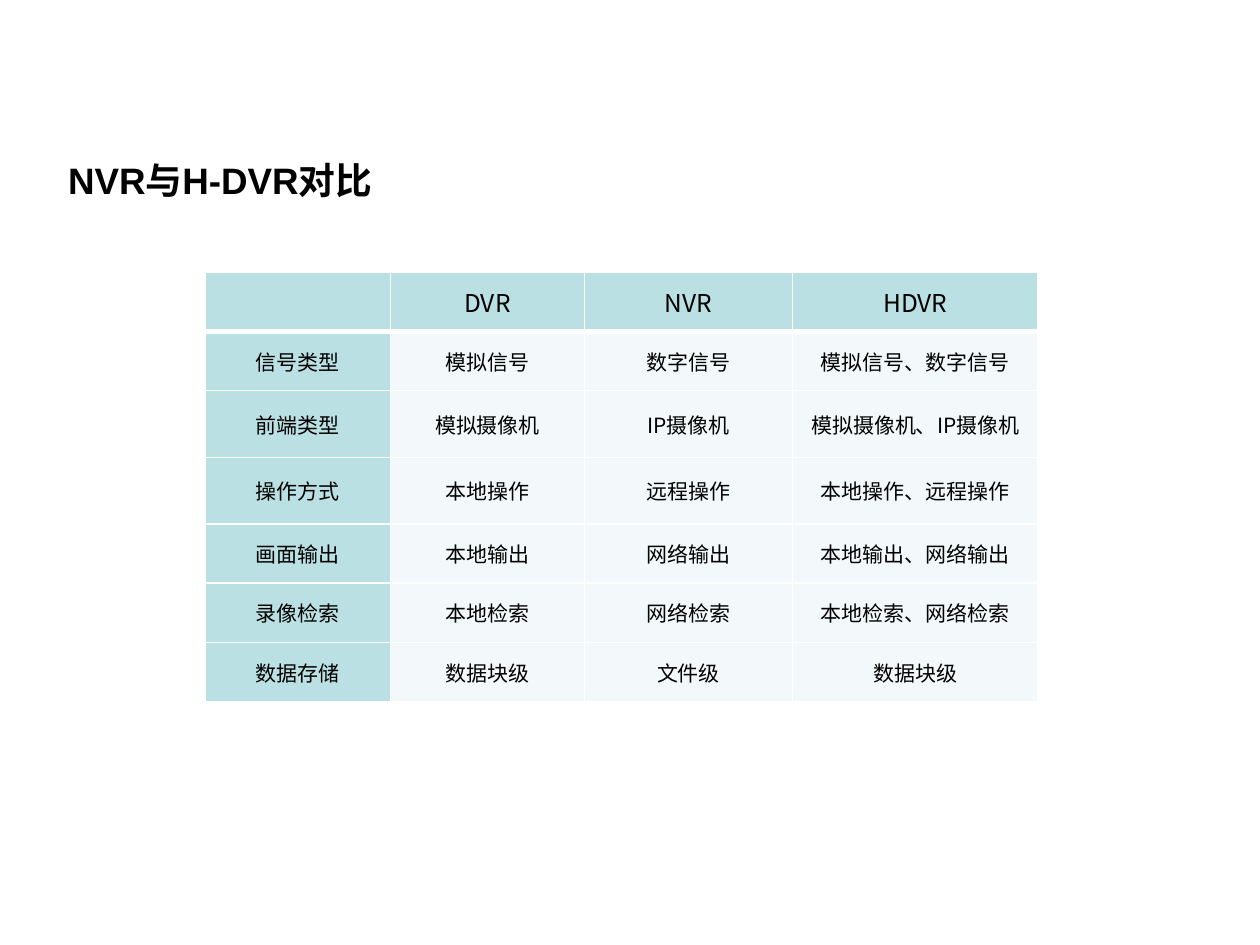
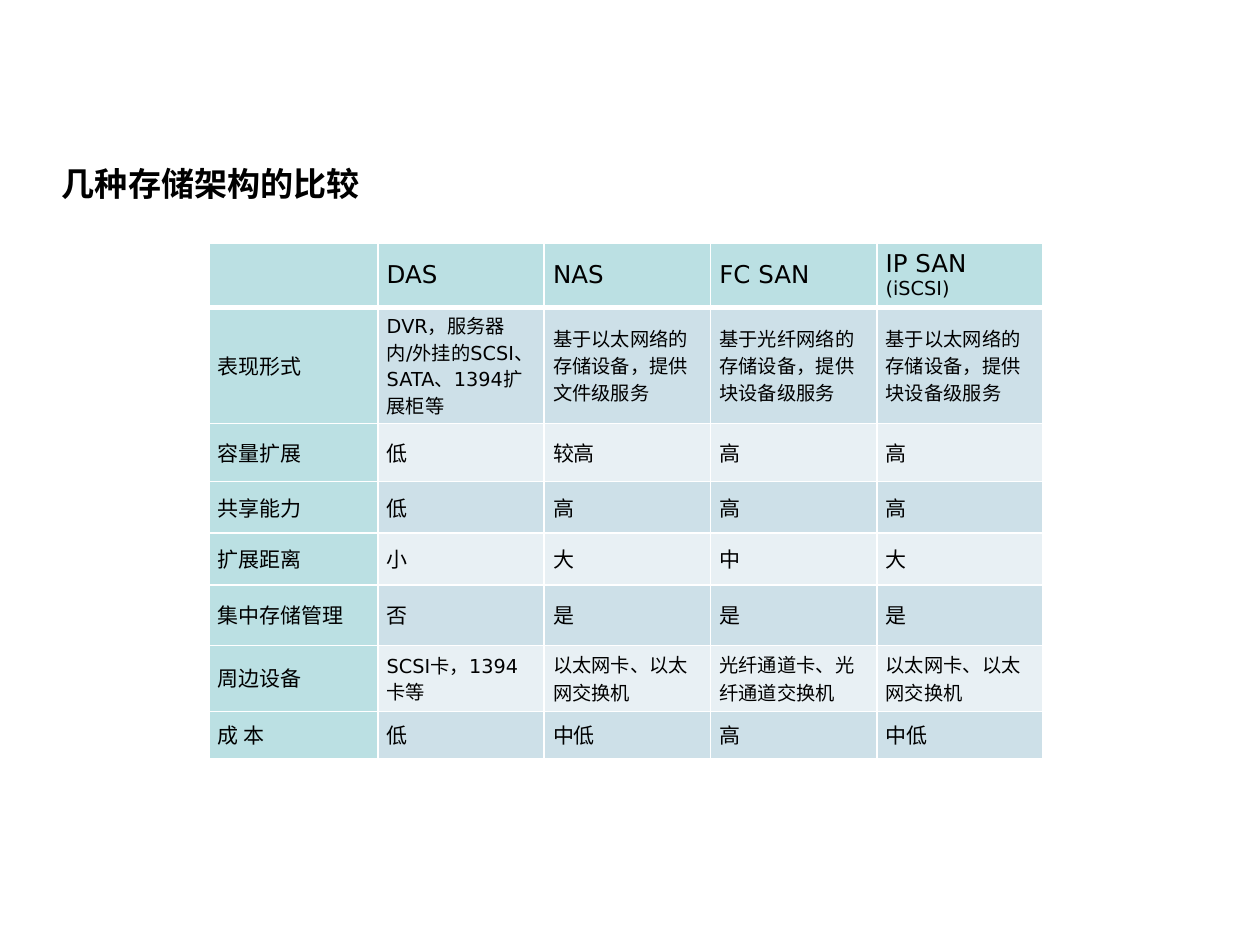
import pptx
import pptx.util
import pptx.dml.color
import pptx.enum.text
import pptx.oxml.ns
import lxml.etree

Inches = pptx.util.Inches
Pt = pptx.util.Pt
ALIGN = pptx.enum.text.PP_ALIGN
MIDDLE = pptx.enum.text.MSO_ANCHOR.MIDDLE

BLACK = pptx.dml.color.RGBColor(0x00, 0x00, 0x00)
WHITE = pptx.dml.color.RGBColor(0xFF, 0xFF, 0xFF)
TEAL = pptx.dml.color.RGBColor(0xBB, 0xE0, 0xE3)
PALE = pptx.dml.color.RGBColor(0xF3, 0xF9, 0xFA)
BAND_DARK = pptx.dml.color.RGBColor(0xCD, 0xE0, 0xE8)
BAND_LIGHT = pptx.dml.color.RGBColor(0xE8, 0xF0, 0xF4)

CHINESE_FONT = "Noto Sans CJK SC"
HEADER_SIZE = 14
BODY_SIZE = 12
DETAIL_SIZE = 11
HEADER_RULE = 3
THIN_RULE = 1


def add_xml(parent, tag, **attributes):
    return lxml.etree.SubElement(parent, pptx.oxml.ns.qn(tag), attributes)


def write_text(para, text, font="Arial", size=BODY_SIZE, bold=False,
               align=ALIGN.LEFT, line_spacing=None, hanging=0):
    para.alignment = align
    para.line_spacing = line_spacing
    if hanging:
        properties = para._p.get_or_add_pPr()
        properties.set("marL", str(Inches(hanging)))
        properties.set("indent", str(Inches(-hanging)))
    span = para.add_run()
    span.text = text
    span.font.size = Pt(size)
    span.font.bold = bold
    span.font.color.rgb = BLACK
    span.font.name = font
    add_xml(span.font._element, "a:ea", typeface=CHINESE_FONT)


class Composer:
    def __init__(self, deck):
        self.deck = deck
        self.page = None

    def start_page(self):
        self.page = self.deck.slides.add_slide(self.deck.slide_layouts[5])

    def title(self, text, left, top, size):
        box = self.page.shapes.title
        box.left, box.top = Inches(left), Inches(top)
        box.width, box.height = Inches(7.48), Inches(0.41)
        frame = box.text_frame
        frame.auto_size = pptx.enum.text.MSO_AUTO_SIZE.NONE
        frame.vertical_anchor = MIDDLE
        write_text(frame.paragraphs[0], text, size=size, bold=True)

    def borders(self, cell, top, bottom):
        properties = cell._tc.get_or_add_tcPr()
        widths = {"a:lnL": THIN_RULE, "a:lnR": THIN_RULE, "a:lnT": top, "a:lnB": bottom}
        for side, width in widths.items():
            line = add_xml(properties, side, w=str(Pt(width)))
            add_xml(add_xml(line, "a:solidFill"), "a:srgbClr", val=str(WHITE))

    def table(self, rows, left, top, widths, heights, bands, first_rule=THIN_RULE,
              detail_rows=(), loose_cells=(), **text_format):
        grid = self.page.shapes.add_table(
            len(rows), len(widths), Inches(left), Inches(top),
            Inches(sum(widths)), Inches(sum(heights))).table
        grid.horz_banding = False
        grid.first_row = False
        for column, width in zip(grid.columns, widths):
            column.width = Inches(width)
        for row, height in zip(grid.rows, heights):
            row.height = Inches(height)

        for r, texts in enumerate(rows):
            for c, text in enumerate(texts):
                cell = grid.cell(r, c)
                cell.vertical_anchor = MIDDLE
                cell.margin_left = cell.margin_right = Inches(0.07)
                cell.margin_top = cell.margin_bottom = Inches(0.04)
                self.borders(cell, first_rule if r == 1 else THIN_RULE,
                             HEADER_RULE if r == 0 else THIN_RULE)
                cell.fill.solid()
                is_heading = r == 0 or c == 0
                cell.fill.fore_color.rgb = TEAL if is_heading else bands[(r - 1) % len(bands)]
                size = HEADER_SIZE if r == 0 else BODY_SIZE
                if r in detail_rows and c > 0:
                    size = DETAIL_SIZE
                cell_format = dict(text_format)
                if (r, c) in loose_cells:
                    cell_format["line_spacing"] = None
                spans = text if isinstance(text, tuple) else ((text, size),)
                for words, span_size in spans:
                    if words:
                        write_text(cell.text_frame.paragraphs[0], words,
                                   size=span_size, **cell_format)


RECORDERS = [
    ["", "DVR", "NVR", "HDVR"],
    ["信号类型", "模拟信号", "数字信号", "模拟信号、数字信号"],
    ["前端类型", "模拟摄像机", "IP摄像机", "模拟摄像机、IP摄像机"],
    ["操作方式", "本地操作", "远程操作", "本地操作、远程操作"],
    ["画面输出", "本地输出", "网络输出", "本地输出、网络输出"],
    ["录像检索", "本地检索", "网络检索", "本地检索、网络检索"],
    ["数据存储", "数据块级", "文件级", "数据块级"],
]

STORAGE = [
    ["", "DAS", "NAS", "FC SAN", (("IP SAN ", HEADER_SIZE), ("(iSCSI)", DETAIL_SIZE))],
    ["表现形式", "DVR，服务器内/外挂的SCSI、SATA、1394扩展柜等",
     "基于以太网络的存储设备，提供文件级服务",
     "基于光纤网络的存储设备，提供块设备级服务",
     "基于以太网络的存储设备，提供块设备级服务"],
    ["容量扩展", "低", "较高", "高", "高"],
    ["共享能力", "低", "高", "高", "高"],
    ["扩展距离", "小", "大", "中", "大"],
    ["集中存储管理", "否", "是", "是", "是"],
    ["周边设备", "SCSI卡，1394卡等", "以太网卡、以太网交换机",
     "光纤通道卡、光纤通道交换机", "以太网卡、以太网交换机"],
    ["成 本", "低", "中低", "高", "中低"],
]


def main():
    deck = pptx.Presentation()
    deck.slide_width, deck.slide_height = Inches(10), Inches(7.5)
    composer = Composer(deck)

    composer.start_page()
    composer.title("NVR与H-DVR对比", 0.44, 1.22, 21)
    composer.table(
        RECORDERS, 1.63, 2.16, [1.47, 1.54, 1.65, 1.95],
        [0.47, 0.47, 0.53, 0.53, 0.47, 0.47, 0.47], [PALE],
        font=CHINESE_FONT, align=ALIGN.CENTER, hanging=0.38)

    composer.start_page()
    composer.title("几种存储架构的比较", 0.39, 1.25, 18.9)
    composer.table(
        STORAGE, 1.66, 1.93, [1.34] + [1.32] * 4,
        [0.51, 0.74, 0.46, 0.41, 0.41, 0.48, 0.48, 0.38], [BAND_DARK, BAND_LIGHT],
        first_rule=HEADER_RULE, detail_rows=(1, 6),
        loose_cells=((6, 2), (6, 3), (6, 4)),
        font="DejaVu Sans", line_spacing=0.95)

    deck.save("out.pptx")


if __name__ == "__main__":
    main()
